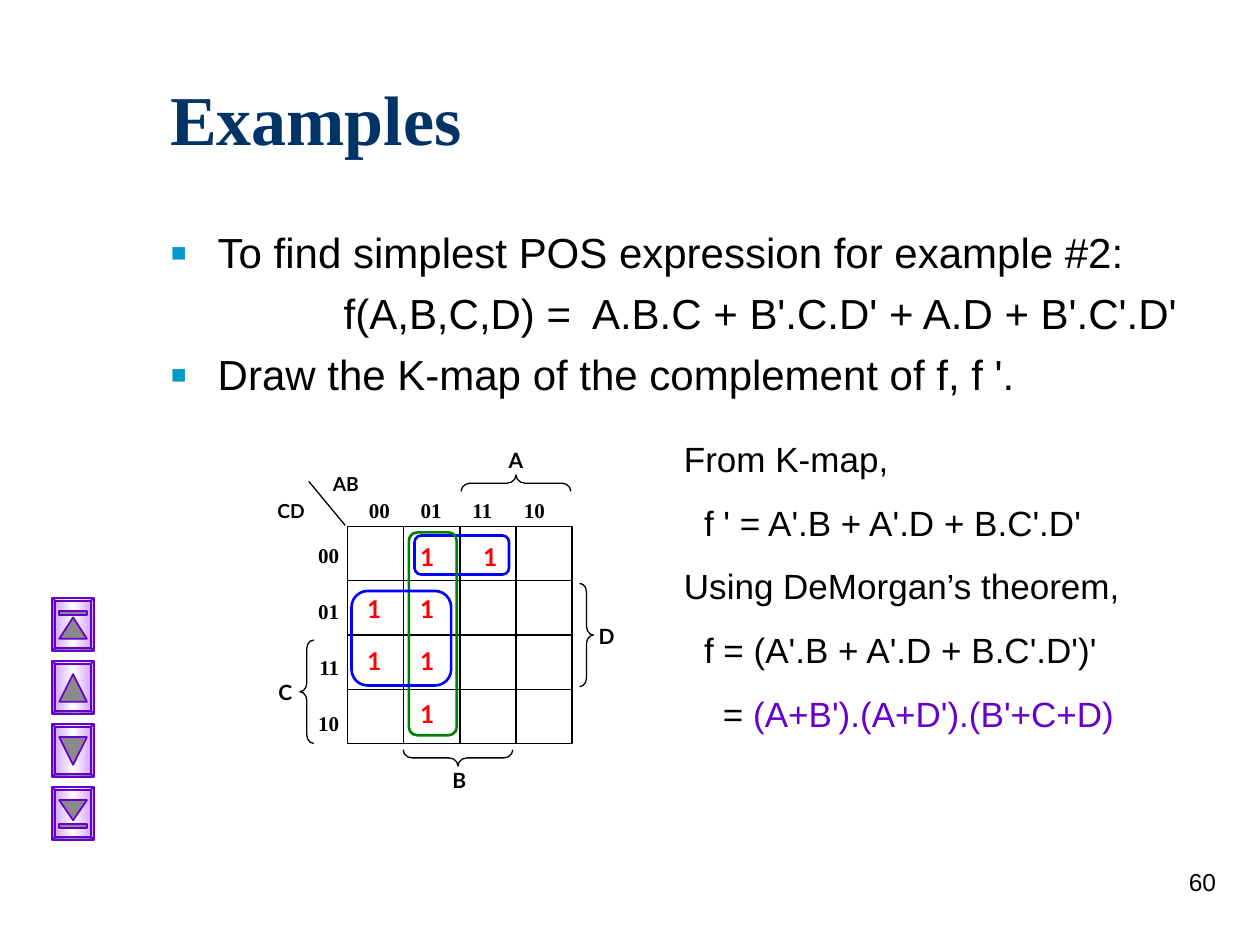
from dataclasses import dataclass

from lxml.etree import SubElement
from pptx import Presentation
from pptx.dml.color import RGBColor
from pptx.enum.shapes import MSO_CONNECTOR, MSO_SHAPE
from pptx.enum.text import MSO_ANCHOR, PP_ALIGN
from pptx.oxml.ns import qn
from pptx.util import Inches, Pt


@dataclass(frozen=True)
class Theme:
    navy: str = "003366"
    black: str = "000000"
    white: str = "FFFFFF"
    gray: str = "8A8A8A"
    red: str = "FF0000"
    blue: str = "0000FF"
    green: str = "008000"
    purple: str = "6600CC"
    lilac: str = "CC99FF"
    bullet: str = "0099CC"
    sans: str = "Arial"
    serif: str = "Times New Roman"
    label: str = "Lato"
    title_size: int = 40
    body_size: int = 24
    result_size: int = 20
    cell_size: int = 14
    label_size: int = 12
    corner_size: int = 11


theme = Theme()


def add_frame(shapes, left, top, width, height):
    frame = shapes.add_textbox(Inches(left), Inches(top), Inches(width), Inches(height)).text_frame
    frame.word_wrap = True
    return frame


def write(frame, text, *, size, font=theme.sans, color=theme.black, bold=False,
          align=PP_ALIGN.LEFT, before=0, after=0, indent=0, hanging=0,
          bullet=None, same_line=False):
    if same_line:
        paragraph = frame.paragraphs[-1]
    else:
        paragraph = frame.add_paragraph() if frame.text else frame.paragraphs[0]
        paragraph.alignment = align
        paragraph.space_before = Pt(before)
        paragraph.space_after = Pt(after)
        properties = paragraph._p.get_or_add_pPr()
        properties.set("marL", str(Inches(indent)))
        properties.set("indent", str(Inches(-hanging)))
        if bullet:
            SubElement(SubElement(properties, qn("a:buClr")), qn("a:srgbClr"), val=theme.bullet)
            SubElement(properties, qn("a:buSzPct"), val="120000")
            SubElement(properties, qn("a:buFont"), typeface=theme.sans)
            SubElement(properties, qn("a:buChar"), char=bullet)
    run = paragraph.add_run()
    run.text = text
    run.font.size = Pt(size)
    run.font.name = font
    run.font.bold = bold
    run.font.color.rgb = RGBColor.from_string(color)


deck = Presentation()
deck.slide_width = Inches(10)
deck.slide_height = Inches(7.5)
slide = deck.slides.add_slide(deck.slide_layouts[5])

title = slide.shapes.title
title.left, title.top, title.width, title.height = map(Inches, (1.25, 0.5, 8.5, 0.86))
title.text_frame.vertical_anchor = MSO_ANCHOR.MIDDLE
write(title.text_frame, "Examples", size=theme.title_size, font=theme.serif,
      color=theme.navy, bold=True)

task = add_frame(slide.shapes, 1.25, 1.75, 8.5, 1.58)
for text, indent, hanging, bullet in (
    ("To find simplest POS expression for example #2:", 0.38, 0.38, "▪"),
    ("f(A,B,C,D) =  A.B.C + B'.C.D' + A.D + B'.C'.D'", 1.38, 0, None),
    ("Draw the K-map of the complement of f, f '.", 0.38, 0.38, "▪"),
):
    write(task, text, size=theme.body_size, before=6, indent=indent,
          hanging=hanging, bullet=bullet)

triangle, bar = MSO_SHAPE.ISOSCELES_TRIANGLE, MSO_SHAPE.RECTANGLE
for row, glyphs in enumerate((
    ((triangle, 0.15, 0.17, 0), (bar, 0.1, 0.03, 0)),
    ((triangle, 0.1, 0.22, 0),),
    ((triangle, 0.1, 0.22, 180),),
    ((triangle, 0.1, 0.16, 180), (bar, 0.29, 0.03, 0)),
)):
    button_top = 4.75 + row * 0.5
    button = slide.shapes.add_shape(MSO_SHAPE.BEVEL, Inches(0.37), Inches(button_top + 0.04),
                                    Inches(0.42), Inches(0.33))
    button.rotation = 90
    button.adjustments[0] = 0.07
    button.fill.gradient()
    button.fill.gradient_angle = 270
    stops = button._element.spPr.find(qn("a:gradFill")).find(qn("a:gsLst"))
    stops.clear()
    for position, color in ((0, theme.lilac), (50000, theme.white), (100000, theme.lilac)):
        stop = SubElement(stops, qn("a:gs"), pos=str(position))
        SubElement(stop, qn("a:srgbClr"), val=color)
    parts = [button]
    for kind, offset, height, rotation in glyphs:
        glyph = slide.shapes.add_shape(kind, Inches(0.47), Inches(button_top + offset),
                                       Inches(0.22), Inches(height))
        glyph.rotation = rotation
        glyph.fill.solid()
        glyph.fill.fore_color.rgb = RGBColor.from_string(theme.gray)
        parts.append(glyph)
    for part in parts:
        part.shadow.inherit = False
        part.line.color.rgb = RGBColor.from_string(theme.purple)
        part.line.width = Pt(1)

kmap = slide.shapes.add_group_shape().shapes
left, top, right, bottom = 2.76, 4.18, 4.54, 5.9
column_width, row_height = (right - left) / 4, (bottom - top) / 4

rules = [(2.74, 4.17, 2.45, 3.82)]
for step in range(1, 4):
    x, y = left + step * column_width, top + step * row_height
    rules += [(x, top, x, bottom), (left, y, right, y)]
for ends in rules:
    rule = kmap.add_connector(MSO_CONNECTOR.STRAIGHT, *map(Inches, ends))
    rule.line.color.rgb = RGBColor.from_string(theme.black)
    rule.line.width = Pt(0.75)
    SubElement(rule._element.spPr, qn("a:effectLst"))

for kind, box, rotation, adjustment, color, weight in (
    (MSO_SHAPE.RECTANGLE, (left, top, right - left, bottom - top), 0, None, theme.black, 0.75),
    (MSO_SHAPE.LEFT_BRACE, (4.03, 3.4, 0.13, 0.87), 90, 0.55, theme.black, 0.75),
    (MSO_SHAPE.LEFT_BRACE, (3.57, 5.58, 0.13, 0.87), 270, 0.55, theme.black, 0.75),
    (MSO_SHAPE.LEFT_BRACE, (2.38, 5.08, 0.11, 0.82), 0, 0.62, theme.black, 0.75),
    (MSO_SHAPE.RIGHT_BRACE, (4.6, 4.63, 0.11, 0.82), 0, 0.62, theme.black, 0.75),
    (MSO_SHAPE.ROUNDED_RECTANGLE, (3.29, 4.25, 0.75, 0.31), 0, 0.17, theme.blue, 1.5),
    (MSO_SHAPE.ROUNDED_RECTANGLE, (2.63, 4.84, 1.61, 0.38), 270, 0.17, theme.green, 1.5),
    (MSO_SHAPE.ROUNDED_RECTANGLE, (2.81, 4.67, 0.75, 0.79), 270, 0.17, theme.blue, 1.5),
):
    outline = kmap.add_shape(kind, *map(Inches, box))
    outline.rotation = rotation
    outline.shadow.inherit = False
    outline.fill.background()
    outline.line.color.rgb = RGBColor.from_string(color)
    outline.line.width = Pt(weight)
    if adjustment:
        outline.adjustments[0] = adjustment

one_lefts = (2.75, 3.17, 3.67)
for row, column in ((0, 1), (0, 2), (1, 0), (1, 1), (2, 0), (2, 1), (3, 1)):
    cell = add_frame(kmap, one_lefts[column], 4.25 + row * 0.415, 0.44, 0.35)
    write(cell, "1", size=theme.cell_size, font=theme.label, color=theme.red,
          bold=True, align=PP_ALIGN.CENTER)

for variable, box, size in (
    ("A", (3.93, 3.5, 0.33, 0.27), theme.label_size),
    ("B", (3.48, 6.04, 0.33, 0.26), theme.label_size),
    ("C", (2.1, 5.34, 0.33, 0.35), theme.label_size),
    ("D", (4.65, 4.9, 0.33, 0.35), theme.label_size),
    ("CD", (2, 3.91, 0.62, 0.29), theme.corner_size),
    ("AB", (2.49, 3.7, 0.51, 0.29), theme.corner_size),
):
    write(add_frame(kmap, *box), variable, size=size, font=theme.label, bold=True,
          align=PP_ALIGN.CENTER)

row_codes = add_frame(kmap, 2.4, 4.26, 0.39, 1.79)
for column, code in enumerate(("00", "01", "11", "10")):
    write(add_frame(kmap, 2.83 + column * 0.41, 3.9, 0.42, 0.35), code,
          size=theme.label_size, font=theme.serif, bold=True)
    write(row_codes, code, size=theme.label_size, font=theme.serif, bold=True,
          align=PP_ALIGN.RIGHT, after=17.6)

result = add_frame(slide.shapes, 5.33, 3.42, 4.17, 2.46)
for text, indent in (
    ("From K-map,", 0),
    ("f ' = A'.B + A'.D + B.C'.D'", 0.16),
    ("Using DeMorgan’s theorem,", 0),
    ("f = (A'.B + A'.D + B.C'.D')'", 0.16),
    ("= ", 0.31),
):
    write(result, text, size=theme.result_size, before=12.5, indent=indent)
write(result, "(A+B').(A+D').(B'+C+D)", size=theme.result_size, color=theme.purple,
      same_line=True)

write(add_frame(slide.shapes, 7.67, 6.83, 2.08, 0.5), "60", size=theme.cell_size,
      align=PP_ALIGN.RIGHT)

deck.save("out.pptx")
